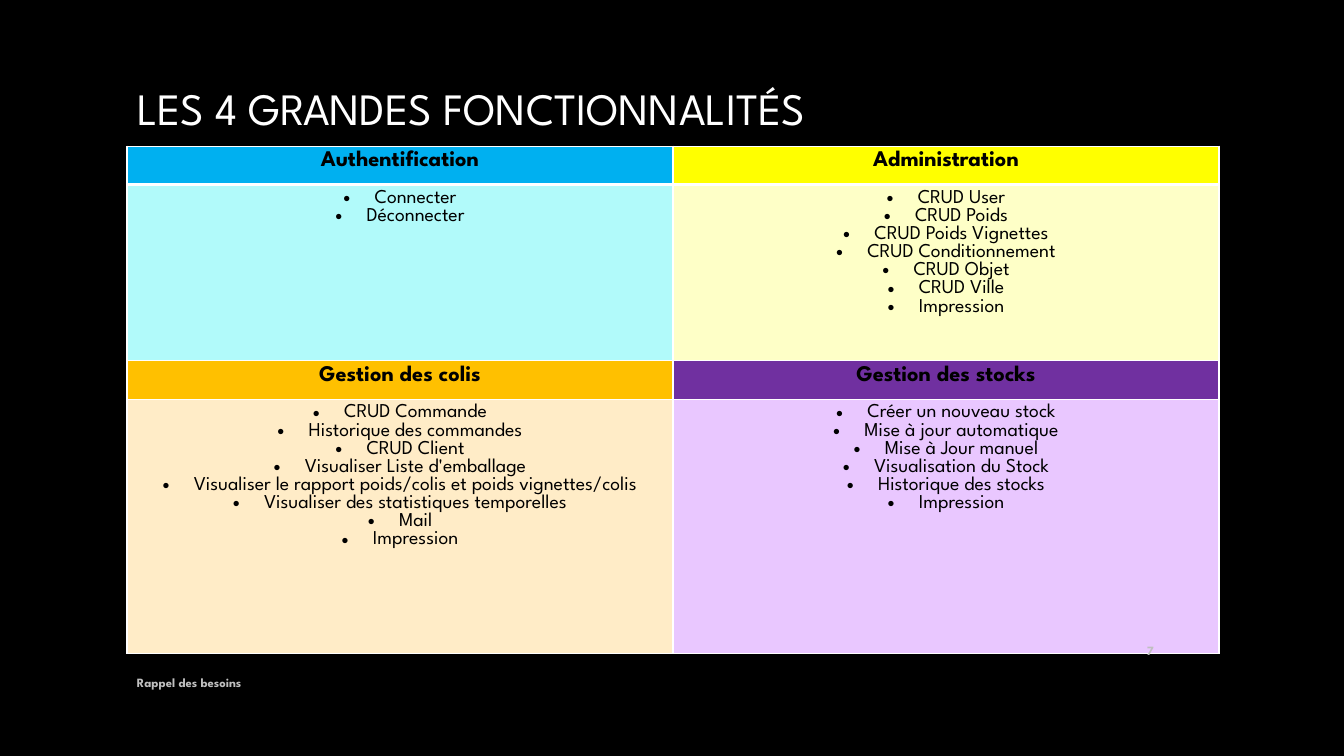
from lxml.etree import SubElement
from pptx import Presentation
from pptx.dml.color import RGBColor
from pptx.enum.text import MSO_ANCHOR, PP_ALIGN
from pptx.oxml import parse_xml
from pptx.oxml.ns import nsdecls, qn
from pptx.util import Inches, Pt

BLACK = RGBColor(0x00, 0x00, 0x00)
WHITE = RGBColor(0xFF, 0xFF, 0xFF)
GREY = RGBColor(0xBF, 0xBF, 0xBF)
BLUE = RGBColor(0x00, 0xB0, 0xF0)
PALE_BLUE = RGBColor(0xB1, 0xFA, 0xFA)
YELLOW = RGBColor(0xFF, 0xFF, 0x00)
PALE_YELLOW = RGBColor(0xFE, 0xFF, 0xC7)
ORANGE = RGBColor(0xFF, 0xC0, 0x00)
PALE_ORANGE = RGBColor(0xFF, 0xEC, 0xC7)
PURPLE = RGBColor(0x70, 0x30, 0xA0)
PALE_PURPLE = RGBColor(0xE9, 0xC7, 0xFF)

TITLE = "LES 4 GRANDES FONCTIONNALITÉS"
FEATURES = [
    ("Authentification", BLUE, PALE_BLUE, ["Connecter", "Déconnecter"]),
    ("Administration", YELLOW, PALE_YELLOW, [
        "CRUD User", "CRUD Poids", "CRUD Poids Vignettes", "CRUD Conditionnement",
        "CRUD Objet", "CRUD Ville", "Impression"]),
    ("Gestion des colis", ORANGE, PALE_ORANGE, [
        "CRUD Commande", "Historique des commandes", "CRUD Client",
        "Visualiser Liste d'emballage",
        "Visualiser le rapport poids/colis et poids vignettes/colis",
        "Visualiser des statistiques temporelles", "Mail", "Impression"]),
    ("Gestion des stocks", PURPLE, PALE_PURPLE, [
        "Créer un nouveau stock", "Mise à jour automatique", "Mise à Jour manuel",
        "Visualisation du Stock", "Historique des stocks", "Impression"]),
]
FOOTERS = [
    ("7", (10.94, 6.25, 0.6, 0.4), PP_ALIGN.RIGHT),
    ("Rappel des besoins", (1.26, 6.57, 8.25, 0.4), PP_ALIGN.LEFT),
]
TITLE_BOX = (1.26, 0.67, 10.83, 0.79)
TABLE_BOX = (1.26, 1.45, 10.83, 5.03)
ROW_HEIGHTS = [0.38, 1.75, 0.38, 2.52]
COLUMNS = 2
BULLET_INDENT = Inches(0.31)

TITLE_FORMAT = {"name": "League Spartan", "size": Pt(32), "bold": False}
HEADING_FORMAT = {"name": "League Spartan", "size": Pt(16), "bold": True}
ITEM_FORMAT = {"name": "League Spartan", "size": Pt(14), "bold": False}
FOOTER_FORMAT = {"name": "League Spartan", "size": Pt(9), "bold": True}


def write_lines(frame, lines, font_format, color, align, bulleted=False):
    """Write one formatted paragraph per line, with bullets if asked."""
    for index, line in enumerate(lines):
        paragraph = frame.paragraphs[0] if index == 0 else frame.add_paragraph()
        paragraph.alignment = align
        if bulleted:
            properties = paragraph._p.get_or_add_pPr()
            properties.set("marL", str(BULLET_INDENT))
            properties.set("indent", str(-BULLET_INDENT))
            SubElement(properties, qn("a:buFont"), typeface="Arial")
            SubElement(properties, qn("a:buChar"), char="•")
        run = paragraph.add_run()
        run.text = line
        for attribute, value in font_format.items():
            setattr(run.font, attribute, value)
        run.font.color.rgb = color


def fill_cell(cell, color, bottom_width):
    """Fill a cell and draw its white borders."""
    cell.fill.solid()
    cell.fill.fore_color.rgb = color
    widths = {"lnL": 1, "lnR": 1, "lnT": 1, "lnB": bottom_width}
    for position, (side, width) in enumerate(widths.items()):
        border = parse_xml(
            f'<a:{side} {nsdecls("a")} w="{Pt(width)}"><a:solidFill>'
            f'<a:srgbClr val="{WHITE}"/></a:solidFill></a:{side}>')
        cell._tc.get_or_add_tcPr().insert(position, border)


def add_title(slide):
    """Place the title and give its text a soft shadow."""
    title = slide.shapes.title
    title.left, title.top, title.width, title.height = map(Inches, TITLE_BOX)
    title.text_frame.vertical_anchor = MSO_ANCHOR.MIDDLE
    write_lines(title.text_frame, [TITLE], TITLE_FORMAT, WHITE, PP_ALIGN.LEFT)
    properties = title.text_frame.paragraphs[0].runs[0]._r.get_or_add_rPr()
    properties.find(qn("a:solidFill")).addnext(parse_xml(
        f'<a:effectLst {nsdecls("a")}><a:outerShdw blurRad="38100" dist="25400" '
        f'dir="2700000"><a:srgbClr val="{GREY}"><a:alpha val="40000"/></a:srgbClr>'
        '</a:outerShdw></a:effectLst>'))


def add_features(slide):
    """Lay the features out two by two, each heading above its items."""
    table = slide.shapes.add_table(
        len(ROW_HEIGHTS), COLUMNS, *map(Inches, TABLE_BOX)).table
    for row, height in zip(table.rows, ROW_HEIGHTS):
        row.height = Inches(height)
    for index, (heading, strong, pale, items) in enumerate(FEATURES):
        band, column = divmod(index, COLUMNS)
        heading_cell = table.cell(2 * band, column)
        items_cell = table.cell(2 * band + 1, column)
        fill_cell(heading_cell, strong, 3 if band == 0 else 1)
        fill_cell(items_cell, pale, 1)
        write_lines(heading_cell.text_frame, [heading], HEADING_FORMAT, BLACK,
                    PP_ALIGN.CENTER)
        write_lines(items_cell.text_frame, items, ITEM_FORMAT, BLACK,
                    PP_ALIGN.CENTER, bulleted=True)


def add_footers(slide):
    """Add the page number and the section name."""
    for text, box, align in FOOTERS:
        frame = slide.shapes.add_textbox(*map(Inches, box)).text_frame
        frame.word_wrap = True
        frame.vertical_anchor = MSO_ANCHOR.MIDDLE
        write_lines(frame, [text], FOOTER_FORMAT, GREY, align)


def main():
    """Build the slide on the main features and save it."""
    presentation = Presentation()
    presentation.slide_width = Inches(13.33)
    presentation.slide_height = Inches(7.5)
    slide = presentation.slides.add_slide(presentation.slide_layouts[5])
    slide.background.fill.solid()
    slide.background.fill.fore_color.rgb = BLACK
    add_title(slide)
    add_features(slide)
    add_footers(slide)
    presentation.save("out.pptx")


if __name__ == "__main__":
    main()
